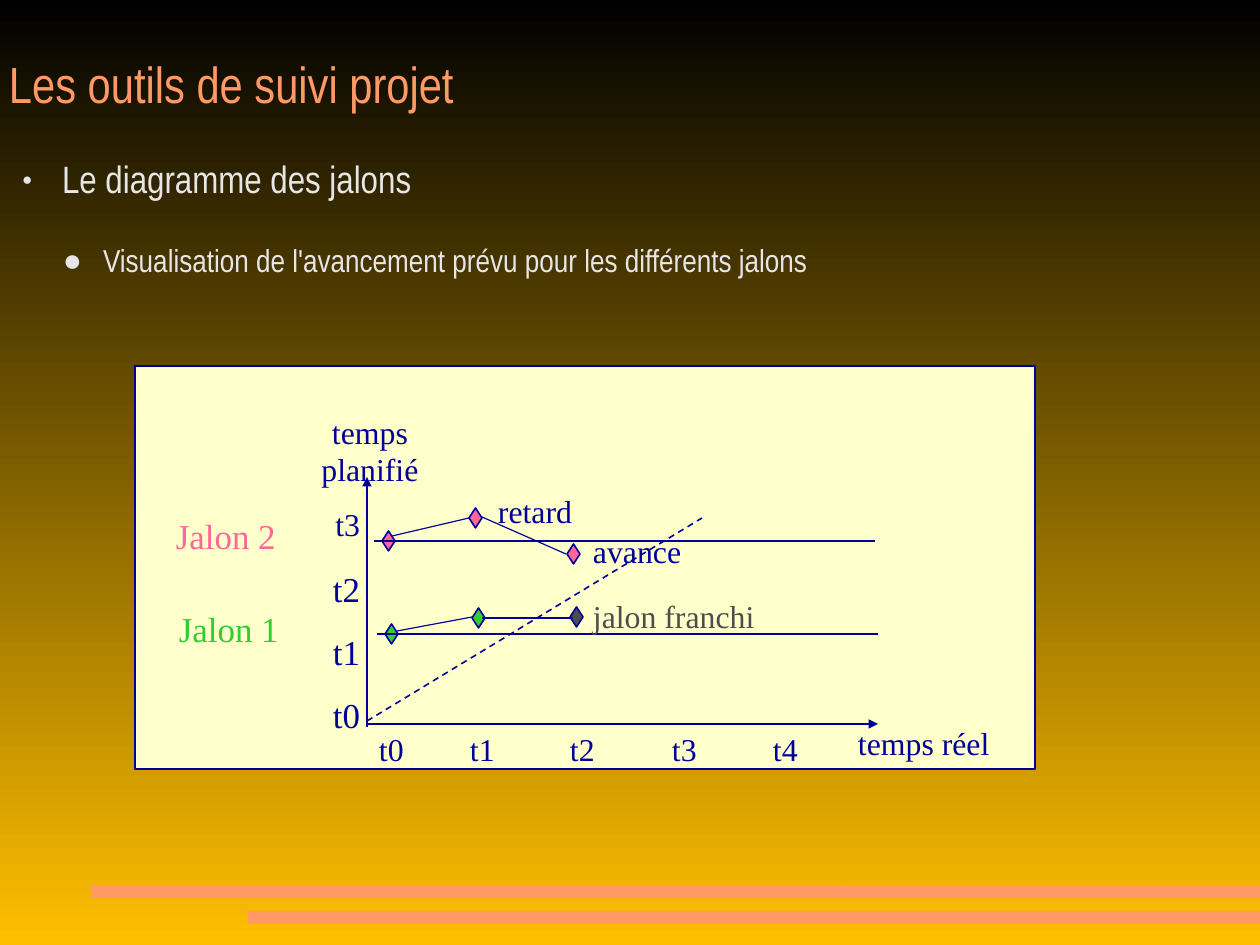
from dataclasses import dataclass

from lxml.etree import SubElement
from pptx import Presentation
from pptx.dml.color import RGBColor as Rgb
from pptx.enum.dml import MSO_LINE_DASH_STYLE as Dash
from pptx.enum.shapes import MSO_CONNECTOR_TYPE as Connector
from pptx.enum.shapes import MSO_SHAPE as Preset
from pptx.enum.text import MSO_ANCHOR as Anchor
from pptx.enum.text import MSO_AUTO_SIZE as AutoSize
from pptx.enum.text import PP_ALIGN as Align
from pptx.oxml.ns import qn
from pptx.util import Pt

PX = 8000  # EMU in one px


@dataclass(frozen=True)
class Theme:
    sky: str = "000000"
    ground: str = "FFBF00"
    accent: str = "FF9966"
    light: str = "E6E6E6"
    panel: str = "FFFFCC"
    ink: str = "000099"
    pink: str = "FF6699"
    green: str = "33CC33"
    passed: str = "4D4D4D"
    heading_font: str = "Arial Narrow"
    chart_font: str = "Times New Roman"
    title: int = 32
    topic: int = 24
    detail: int = 20
    label: int = 20
    large_label: int = 22
    line: float = 1
    thin_line: float = 0.75


theme = Theme()
presentation = Presentation()
presentation.slide_width = 1260 * PX
presentation.slide_height = 945 * PX
slide = presentation.slides.add_slide(presentation.slide_layouts[1])


def write(shape, paragraph, text, font, size, color, box, frame_format, paragraph_format):
    """Place a text shape and format one of its paragraphs."""
    for name, value in zip(("left", "top", "width", "height"), box):
        setattr(shape, name, value * PX)
    for name, value in frame_format.items():
        setattr(shape.text_frame, name, value)
    for name, value in paragraph_format.items():
        setattr(paragraph, name, value)
    paragraph.text = text
    for name, value in {"name": font, "size": Pt(size), "bold": False}.items():
        setattr(paragraph.font, name, value)
    paragraph.font.color.rgb = Rgb.from_string(color)


def draw_line(start, end, weight=theme.line, arrow=False, dash=None):
    """Join two points, given in px."""
    ends = [value * PX for value in (*start, *end)]
    connector = slide.shapes.add_connector(Connector.STRAIGHT, *ends)
    connector.line.color.rgb = Rgb.from_string(theme.ink)
    connector.line.width = Pt(weight)
    if dash:
        connector.line.dash_style = dash
    if arrow:
        SubElement(connector.line._get_or_add_ln(), qn("a:tailEnd"), type="triangle")
    SubElement(connector._element.spPr, qn("a:effectLst"))


# Background
background = slide.background.fill
background.gradient()
background.gradient_angle = 270
for stop, color in zip(background.gradient_stops, (theme.sky, theme.ground)):
    stop.color.rgb = Rgb.from_string(color)

# Title and list
margins = dict.fromkeys(("margin_left", "margin_top", "margin_right", "margin_bottom"), 0)
flush = {**margins, "word_wrap": True, "auto_size": AutoSize.NONE}
title = slide.shapes.title
write(title, title.text_frame.paragraphs[0], "Les outils de suivi projet",
      theme.heading_font, theme.title, theme.accent, (9, 7, 954, 158),
      {**flush, "vertical_anchor": Anchor.MIDDLE},
      {"alignment": Align.LEFT, "line_spacing": 0.93})

body = slide.placeholders[1]
body.text_frame.add_paragraph()
topics = [
    ("Le diagramme des jalons", theme.topic, 54, "45000"),
    ("Visualisation de l'avancement prévu pour les différents jalons", theme.detail, 95, "100000"),
]
for level, (text, size, indent, bullet_size) in enumerate(topics):
    paragraph = body.text_frame.paragraphs[level]
    write(body, paragraph, text, theme.heading_font, size, theme.light,
          (8, 159, 1252, 153), {**flush, "vertical_anchor": Anchor.TOP},
          {"level": level, "line_spacing": 0.95, "space_before": Pt(0), "space_after": Pt(26)})
    properties = paragraph._p.get_or_add_pPr()
    properties.set("marL", str(indent * PX))
    properties.set("indent", str(-40 * PX))
    bullet_color = SubElement(properties, qn("a:buClr"))
    SubElement(bullet_color, qn("a:srgbClr"), val=theme.light)
    SubElement(properties, qn("a:buSzPct"), val=bullet_size)
    SubElement(properties, qn("a:buChar"), char="●")

# Footer bars, chart panel and milestone diamonds
pink_points = [(388, 541), (475, 518), (573, 554)]
green_points = [(391, 634), (478, 618), (576, 617)]
markers = [
    *zip(pink_points, [theme.pink] * 3),
    *zip(green_points, [theme.green, theme.green, theme.passed]),
]
filled_shapes = [
    (Preset.ROUNDED_RECTANGLE, (91, 885, 1169, 13), theme.accent, None),
    (Preset.ROUNDED_RECTANGLE, (248, 911, 1012, 13), theme.accent, None),
    (Preset.RECTANGLE, (135, 366, 900, 403), theme.panel, theme.ink),
    *((Preset.DIAMOND, (x - 6, y - 10, 13, 20), color, theme.ink) for (x, y), color in markers),
]
for preset, box, fill, outline in filled_shapes:
    shape = slide.shapes.add_shape(preset, *(value * PX for value in box))
    shape.shadow.inherit = False
    shape.fill.solid()
    shape.fill.fore_color.rgb = Rgb.from_string(fill)
    if preset == Preset.ROUNDED_RECTANGLE:
        shape.adjustments[0] = 0.02
    if outline:
        shape.line.color.rgb = Rgb.from_string(outline)
        shape.line.width = Pt(theme.line)
    else:
        shape.line.fill.background()

# Axes, milestone baselines and diagonal
draw_line((367, 727), (367, 477), arrow=True)
draw_line((367, 724), (878, 724), arrow=True)
draw_line((374, 541), (875, 541))
draw_line((377, 634), (878, 634))
draw_line((367, 721), (702, 518), dash=Dash.DASH)

# Links between milestone diamonds
links = [
    ((392, 536), (469, 518)),
    ((482, 517), (566, 554)),
    ((397, 631), (472, 617)),
    ((482, 618), (573, 618)),
]
for start, end in links:
    draw_line(start, end, theme.thin_line)

# Labels: text, left, top, width, size, colour, alignment
small, large = theme.label, theme.large_label
labels = [
    ("temps planifié", 285, 410, 170, small, theme.ink, Align.CENTER),
    ("temps réel", 847, 721, 176, small, theme.ink, Align.LEFT),
    ("retard", 487, 489, 201, small, theme.ink, Align.LEFT),
    ("avance", 582, 529, 201, small, theme.ink, Align.LEFT),
    ("jalon franchi", 582, 594, 201, small, theme.passed, Align.LEFT),
    ("Jalon 2", 165, 512, 142, large, theme.pink, Align.LEFT),
    ("Jalon 1", 168, 605, 137, large, theme.green, Align.LEFT),
]
for index, left in enumerate((368, 459, 559, 661, 762)):
    labels.append((f"t{index}", left, 727, 66, small, theme.ink, Align.LEFT))
for index, size in enumerate((large, large, large, small)):
    labels.append((f"t{index}", 301, 691 - 63 * index, 70, size, theme.ink, Align.RIGHT))

label_frame = {
    "margin_left": 11 * PX, "margin_right": 11 * PX,
    "margin_top": 6 * PX, "margin_bottom": 6 * PX, "word_wrap": True,
}
for text, left, top, width, size, color, alignment in labels:
    text_box = slide.shapes.add_textbox(0, 0, 0, 0)
    write(text_box, text_box.text_frame.paragraphs[0], text, theme.chart_font, size, color,
          (left, top, width, 50), label_frame, {"alignment": alignment, "line_spacing": 0.95})

presentation.save("out.pptx")
